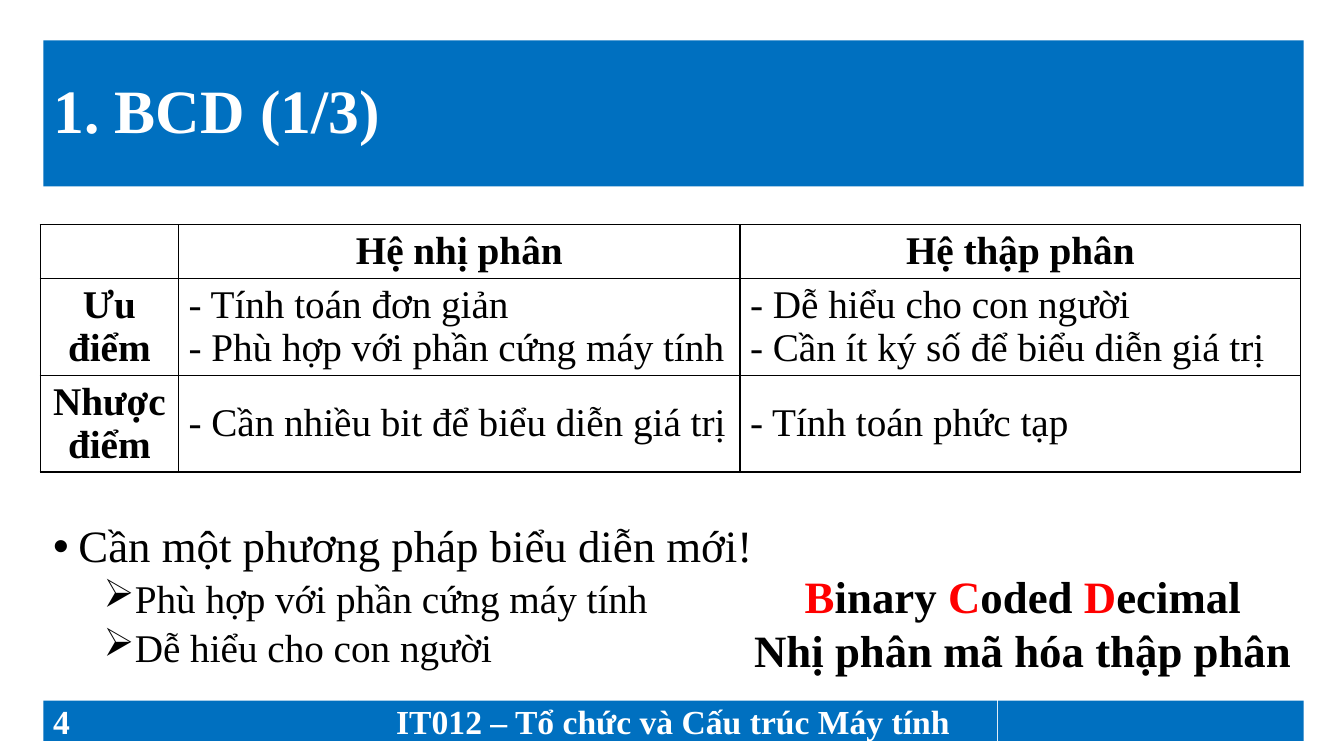
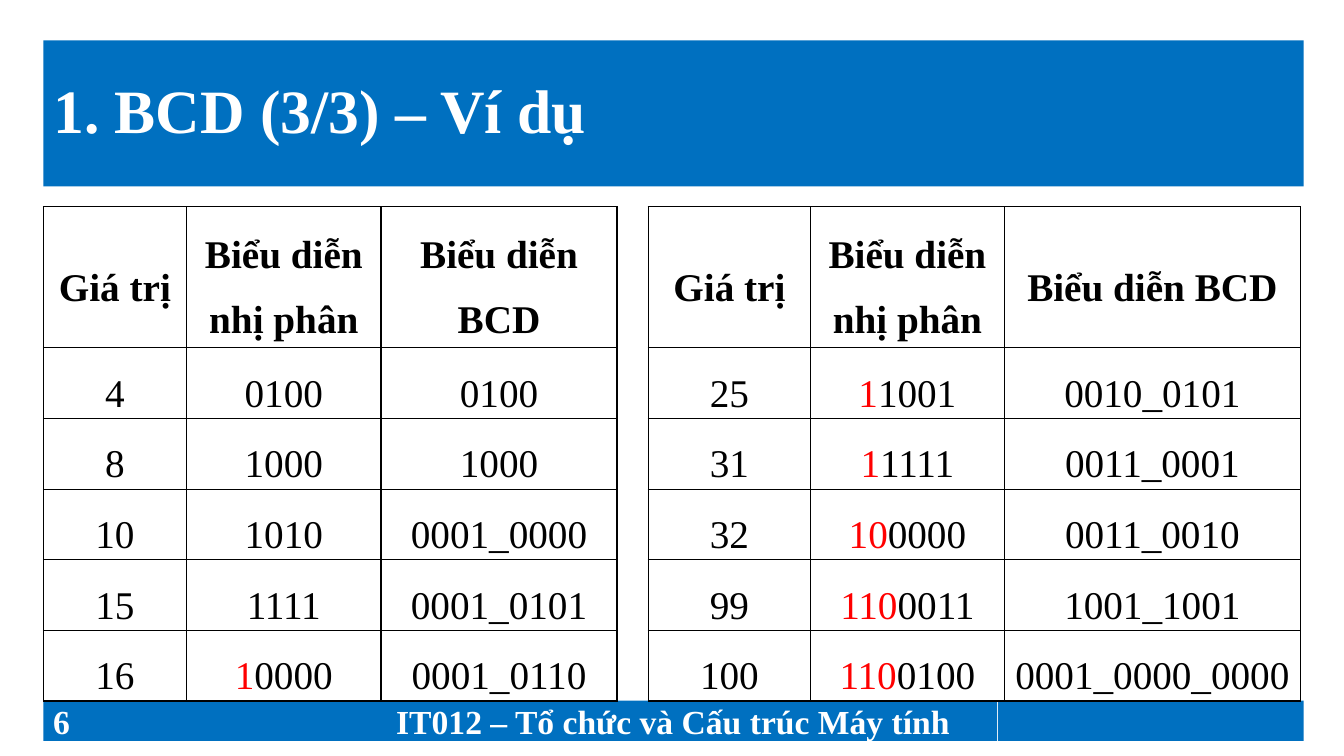
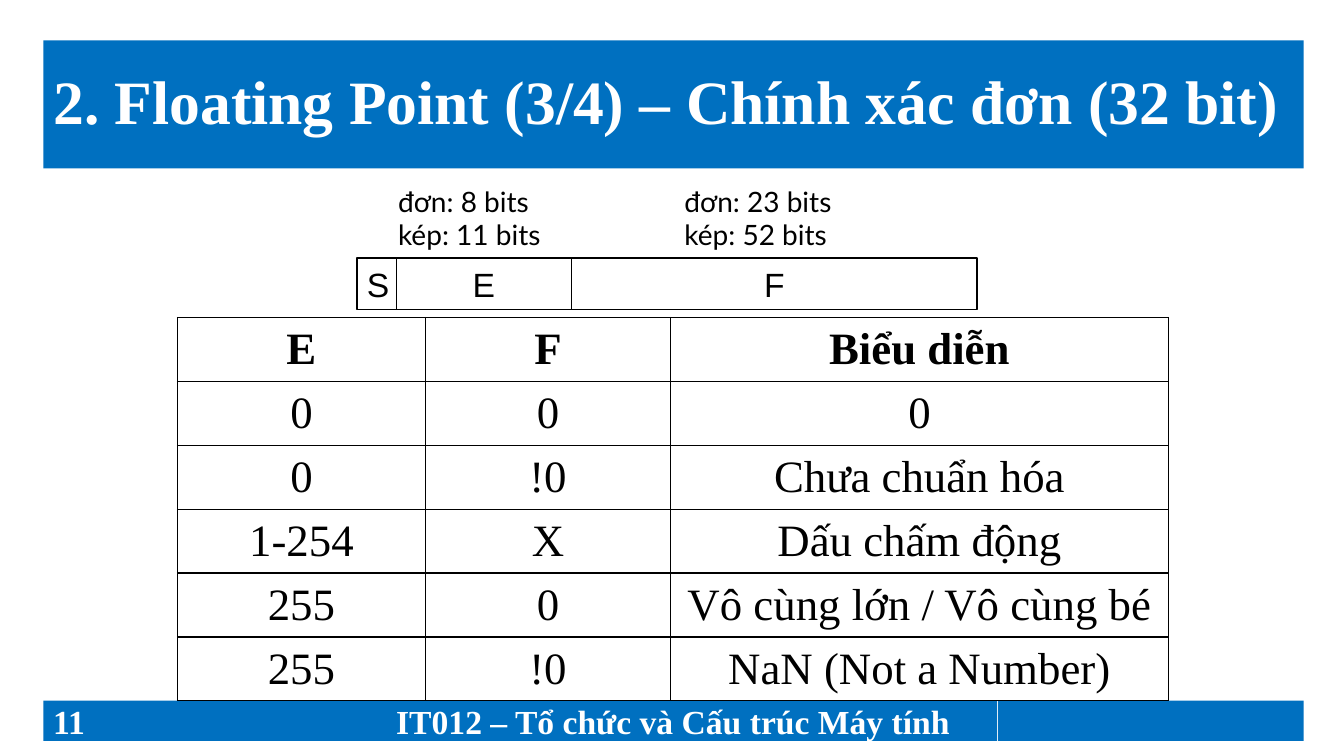
from lxml import etree
from pptx import Presentation
from pptx.dml.color import RGBColor
from pptx.enum import shapes, text
from pptx.oxml import ns
from pptx.util import Inches, Pt

BLUE, WHITE, BLACK, RED = "0070C0", "FFFFFF", "000000", "FF0000"
SERIF = "Times New Roman"
LEFT, MID = text.PP_ALIGN.LEFT, text.PP_ALIGN.CENTER
TOP, HALF = text.MSO_ANCHOR.TOP, text.MSO_ANCHOR.MIDDLE
RECT = shapes.MSO_SHAPE.RECTANGLE
hue = RGBColor.from_string


def write(frame, lines, size, bold=False, color=BLACK, face=SERIF, align=LEFT, space=None):
    frame.word_wrap = True
    for i, line in enumerate(lines):
        para = frame.paragraphs[0] if i == 0 else frame.add_paragraph()
        para.alignment, para.line_spacing = align, space
        para.font.size, para.font.bold, para.font.name = Pt(size), bold, face
        para.font.color.rgb = hue(color)
        for j, part in enumerate(line.split("*")):
            if part:
                run = para.add_run()
                run.text = part
                if j % 2:
                    run.font.color.rgb = hue(RED)


def grid(slide, left, top, cols, highs, rows, size, pad=(0.1, 0.05), space=None, side=False):
    table = slide.shapes.add_table(
        len(rows), len(cols), Inches(left), Inches(top), Inches(sum(cols)), Inches(sum(highs))
    ).table
    table.first_row = table.horz_banding = False
    for col, wide in zip(table.columns, cols):
        col.width = Inches(wide)
    for r, (row, high) in enumerate(zip(rows, highs)):
        table.rows[r].height = Inches(high)
        for c, words in enumerate(row):
            cell = table.cell(r, c)
            cell.margin_left = cell.margin_right = Inches(pad[0])
            cell.margin_top = cell.margin_bottom = Inches(pad[1])
            cell.fill.background()
            head = r == 0 or side and c == 0
            cell.vertical_anchor = TOP if side and head else HALF
            write(cell.text_frame, words.split("\n"), size, head,
                  align=MID if head or not side else LEFT, space=space)
            props = cell._tc.get_or_add_tcPr()
            for k, edge in enumerate(("a:lnL", "a:lnR", "a:lnT", "a:lnB")):
                line = etree.Element(ns.qn(edge), w=str(Pt(1)))
                fill = etree.SubElement(line, ns.qn("a:solidFill"))
                etree.SubElement(fill, ns.qn("a:srgbClr"), val=BLACK)
                props.insert(k, line)


deck = Presentation()
deck.slide_width, deck.slide_height = Inches(13.33), Inches(7.5)

pages = []
for title, high, num in (
    ("1. BCD (1/3)", 1.45, "4"),
    ("1. BCD (3/3) – Ví dụ", 1.45, "6"),
    ("2. Floating Point (3/4) – Chính xác đơn (32 bit)", 1.27, "11"),
):
    slide = deck.slides.add_slide(deck.slide_layouts[6])
    pages.append(slide)
    for x, y, w, h, words, size, align, space in (
        (0.43, 0.4, 12.5, high, title, 44, LEFT, 0.9),
        (0.43, 6.95, 3.03, 0.4, num, 24, LEFT, None),
        (3.46, 6.95, 6.43, 0.4, "IT012 – Tổ chức và Cấu trúc Máy tính", 24, MID, None),
        (9.9, 6.95, 3.03, 0.4, "", 24, LEFT, None),
    ):
        band = slide.shapes.add_shape(RECT, Inches(x), Inches(y), Inches(w), Inches(h))
        band.shadow.inherit = False
        band.fill.solid()
        band.fill.fore_color.rgb = hue(BLUE)
        band.line.fill.background()
        band.text_frame.vertical_anchor = HALF
        write(band.text_frame, [words], size, True, WHITE, align=align, space=space)

need, sample, single = pages

grid(need, 0.4, 2.23, (1.37, 5.57, 5.56), (0.53, 0.96, 0.96), (
    ("", "Hệ nhị phân", "Hệ thập phân"),
    ("Ưu điểm", "- Tính toán đơn giản\n- Phù hợp với phần cứng máy tính",
     "- Dễ hiểu cho con người\n- Cần ít ký số để biểu diễn giá trị"),
    ("Nhược điểm", "- Cần nhiều bit để biểu diễn giá trị", "- Tính toán phức tạp"),
), 28, side=True)

body = need.shapes.add_textbox(Inches(0.43), Inches(5.15), Inches(7.2), Inches(1.57)).text_frame
write(body, ("Cần một phương pháp biểu diễn mới!", "Phù hợp với phần cứng máy tính",
             "Dễ hiểu cho con người"), 28, space=0.9)
body.paragraphs[0].font.size = Pt(32)
arrow = ("Wingdings", "Ø", 0.75, 5)
for para, (face, mark, dent, gap) in zip(body.paragraphs, (("Arial", "•", 0.25, 0), arrow, arrow)):
    para.space_before = Pt(gap)
    props = para._p.get_or_add_pPr()
    props.set("marL", str(Inches(dent)))
    props.set("indent", str(Inches(-0.25)))
    base = props.find(ns.qn("a:defRPr"))
    base.addprevious(etree.Element(ns.qn("a:buFont"), typeface=face))
    base.addprevious(etree.Element(ns.qn("a:buChar"), char=mark))

name = need.shapes.add_textbox(Inches(7.33), Inches(5.59), Inches(5.63), Inches(1.18))
write(name.text_frame, ("*B*inary *C*oded *D*ecimal", "Nhị phân mã hóa thập phân"),
      32, True, align=MID)

heads = ("Giá trị", "Biểu diễn nhị phân", "Biểu diễn BCD")
for left, cols, rows in (
    (0.43, (1.42, 1.93, 2.34), (
        ("4", "0100", "0100"),
        ("8", "1000", "1000"),
        ("10", "1010", "0001_0000"),
        ("15", "1111", "0001_0101"),
        ("16", "*1*0000", "0001_0110"),
    )),
    (6.43, (1.61, 1.92, 2.94), (
        ("25", "*1*1001", "0010_0101"),
        ("31", "*1*1111", "0011_0001"),
        ("32", "*10*0000", "0011_0010"),
        ("99", "*110*0011", "1001_1001"),
        ("100", "*110*0100", "0001_0000_0000"),
    )),
):
    grid(sample, left, 2.05, cols, [1.3] + [0.65] * 5, (heads, *rows), 28, (0.07, 0), 1.5)

grid(single, 1.76, 3.15, (2.46, 2.43, 4.94), [0.6] * 6, (
    ("E", "F", "Biểu diễn"),
    ("0", "0", "0"),
    ("0", "!0", "Chưa chuẩn hóa"),
    ("1-254", "X", "Dấu chấm động"),
    ("255", "0", "Vô cùng lớn / Vô cùng bé"),
    ("255", "!0", "NaN (Not a Number)"),
), 32)

left = 3.54
for part, wide in (("S", 0.39), ("E", 1.74), ("F", 4.02)):
    field = single.shapes.add_shape(RECT, Inches(left), Inches(2.56), Inches(wide), Inches(0.51))
    field.shadow.inherit = False
    field.fill.background()
    field.line.color.rgb = hue(BLACK)
    field.line.width = Pt(1)
    write(field.text_frame, [part], 24, face="Arial", align=MID)
    left += wide

for left, bits in ((3.85, ("đơn: 8 bits", "kép: 11 bits")), (6.69, ("đơn: 23 bits", "kép: 52 bits"))):
    note = single.shapes.add_textbox(Inches(left), Inches(1.78), Inches(1.7), Inches(0.77))
    write(note.text_frame, bits, 20, face="Lato")

deck.save("out.pptx")
